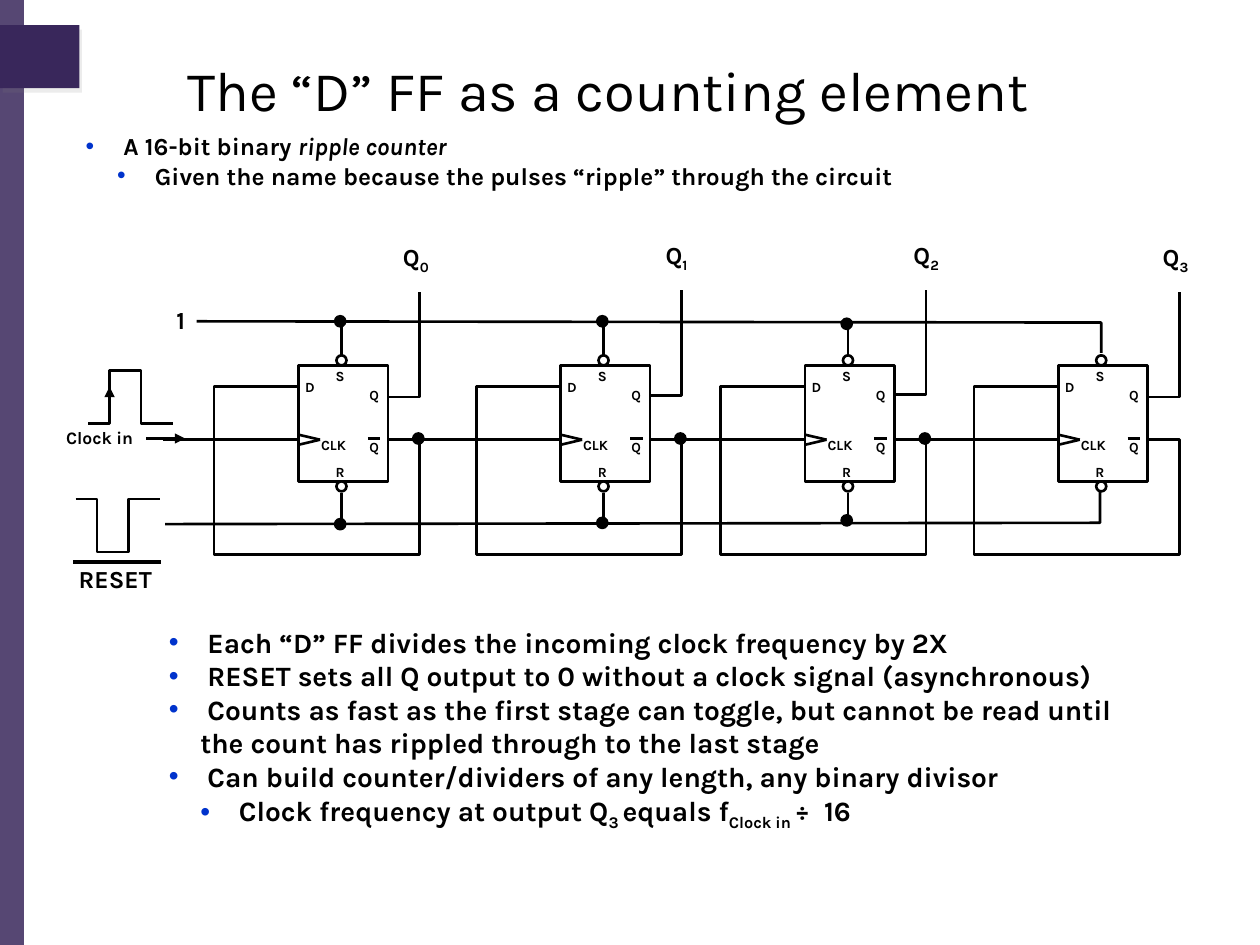
from lxml import etree
from pptx import Presentation
from pptx.dml.color import RGBColor
from pptx.enum.shapes import MSO_CONNECTOR, MSO_SHAPE
from pptx.enum.text import MSO_ANCHOR, MSO_AUTO_SIZE, PP_ALIGN
from pptx.oxml.ns import qn
from pptx.util import Inches, Pt

RECT, OVAL = MSO_SHAPE.RECTANGLE, MSO_SHAPE.OVAL
WIRE = MSO_CONNECTOR.STRAIGHT
MID = MSO_ANCHOR.MIDDLE
LEFT, CENTER = PP_ALIGN.LEFT, PP_ALIGN.CENTER
FIT, FIXED = MSO_AUTO_SIZE.SHAPE_TO_FIT_TEXT, MSO_AUTO_SIZE.NONE
BLACK, WHITE, BLUE, PLUM = "000000", "FFFFFF", "0033CC", "39275B"


def color(code):
    return RGBColor.from_string(code)


def node(base, tag, **attrs):
    return etree.SubElement(base, qn(tag), attrs)


def write(para, text, size=14, bold=True, italic=False, sub=False):
    run = para.add_run()
    run.text = text
    font = run.font
    font.name, font.size = "Karla", Pt(size)
    font.bold, font.italic = bold, italic
    font.color.rgb = color(BLACK)
    if sub:
        run._r.get_or_add_rPr().set("baseline", "-25000")


class Pen:
    def __init__(self, slide):
        self.slide = slide
        self.shapes = slide.shapes
        self.weight = 1.5

    def group(self):
        self.shapes = self.slide.shapes.add_group_shape().shapes

    def leave(self):
        self.shapes = self.slide.shapes

    def stroke(self, item, weight=None):
        item.line.color.rgb = color(BLACK)
        item.line.width = Pt(weight or self.weight)

    def shape(self, kind, x, y, w, h, fill, edge=True):
        item = self.shapes.add_shape(kind, Inches(x), Inches(y), Inches(w), Inches(h))
        item.shadow.inherit = False
        item.fill.solid()
        item.fill.fore_color.rgb = color(fill)
        if edge:
            self.stroke(item)
        else:
            item.line.fill.background()
        return item

    def dot(self, x, y, fill=BLACK):
        self.shape(OVAL, x - 0.04, y - 0.04, 0.08, 0.08, fill)

    def line(self, x1, y1, x2, y2, arrow=False, weight=None):
        item = self.shapes.add_connector(WIRE, Inches(x1), Inches(y1), Inches(x2), Inches(y2))
        self.stroke(item, weight)
        if arrow:
            node(item.line._get_or_add_ln(), "a:tailEnd", type="triangle")
        node(item._element.spPr, "a:effectLst")

    def trace(self, *points):
        spots = [(Inches(x), Inches(y)) for x, y in points]
        draft = self.shapes.build_freeform(*spots[0], scale=1.0)
        draft.add_line_segments(spots[1:], close=False)
        item = draft.convert_to_shape()
        item.shadow.inherit = False
        item.fill.background()
        self.stroke(item)

    def label(self, text, x, y, w, h, size=14, sub="", align=CENTER):
        box = self.shapes.add_textbox(Inches(x), Inches(y), Inches(w), Inches(h))
        frame = box.text_frame
        frame.word_wrap = False
        frame.auto_size = FIT
        frame.vertical_anchor = MID
        para = frame.paragraphs[0]
        para.alignment = align
        write(para, text, size=size)
        if sub:
            write(para, sub, size=size, sub=True)

    def place(self, item, x, y, w, h):
        item.left, item.top = Inches(x), Inches(y)
        item.width, item.height = Inches(w), Inches(h)
        frame = item.text_frame
        frame.word_wrap = True
        frame.auto_size = FIXED
        frame.vertical_anchor = MID
        return frame

    def title(self, text, *area):
        para = self.place(self.slide.shapes.title, *area).paragraphs[0]
        para.alignment = CENTER
        write(para, text, size=32, bold=False)

    def bullets(self, item, area, size, rows):
        frame = self.place(item, *area)
        for i, (level, *runs) in enumerate(rows):
            para = frame.add_paragraph() if i else frame.paragraphs[0]
            para.level = level
            para.alignment = LEFT
            para.space_before = Pt(0)
            prop = para._p.get_or_add_pPr()
            prop.set("marL", str(Inches(0.25 * (level + 1))))
            prop.set("indent", str(Inches(-0.25)))
            node(node(prop, "a:buClr"), "a:srgbClr", val=BLUE)
            node(prop, "a:buFont", typeface="Arial")
            node(prop, "a:buChar", char="•")
            for text, style in runs:
                write(para, text, size=size, **style)

    def stage(self, x, top, turn, name, index):
        self.group()
        end = x + 0.96
        self.trace((x + 0.71, 3.49), (end, 3.49), (end, 4.4),
                   (x - 0.67, 4.4), (x - 0.67, 3.07), (x - 0.24, 3.07))
        self.shape(RECT, x, 2.9, 0.71, 0.92, WHITE)
        for y in (3.07, 3.49):
            self.line(x, y, x - 0.25, y)
        for y in (3.45, 3.53):
            self.line(x, y, x + 0.17, 3.49)
        for y in (2.86, 3.86):
            self.dot(x + 0.34, y, WHITE)
        for text, dx, y in (("S", 0.19, 2.87), ("R", 0.19, 3.63), ("D", -0.05, 2.96),
                            ("Q", 0.46, 3.02), ("Q", 0.46, 3.43)):
            self.label(text, x + dx, y, 0.28, 0.23, size=8)
        self.label("CLK", x + 0.08, 3.42, 0.43, 0.23, size=8, align=LEFT)
        self.line(x + 0.55, 3.48, x + 0.65, 3.48)
        self.trace((x + 0.71, turn), (end, turn), (end, top))
        self.label("Q", name, top - 0.43, 0.42, 0.33, sub=index)
        self.leave()


def main():
    deck = Presentation()
    deck.slide_width, deck.slide_height = Inches(10), Inches(7.5)
    slide = deck.slides.add_slide(deck.slide_layouts[3])
    pen = Pen(slide)

    strip = pen.shape(RECT, 0, 0, 0.19, 7.5, PLUM, edge=False)
    node(strip._element.spPr.find(qn("a:solidFill"))[0], "a:alpha", val="85000")
    tab = pen.shape(RECT, 0, 0.2, 0.63, 0.5, PLUM, edge=False)
    shade = node(tab._element.spPr.find(qn("a:effectLst")), "a:outerShdw",
                 blurRad="0", dist=str(Pt(3)), dir="3600000", rotWithShape="0")
    node(node(shade, "a:srgbClr", val="808080"), "a:alpha", val="15000")

    pen.title("The “D” FF as a counting element", 0.33, 0.25, 9, 0.92)
    plain, sub = {}, {"sub": True}
    pen.bullets(slide.placeholders[1], (0.58, 0.99, 9.01, 0.57), 14, [
        (0, (" A 16-bit binary ", plain), ("ripple counter", {"italic": True})),
        (1, (" Given the name because the pulses “ripple” through the circuit", plain)),
    ])
    pen.bullets(slide.placeholders[2], (1.24, 4.93, 7.97, 1.7), 16, [
        (0, (" Each “D” FF divides the incoming clock frequency by 2X", plain)),
        (0, (" RESET sets all Q output to 0 without a clock signal (asynchronous)", plain)),
        (0, (" Counts as fast as the first stage can toggle, but cannot be read until "
             "the count has rippled through to the last stage", plain)),
        (0, (" Can build counter/dividers of any length, any binary divisor", plain)),
        (1, (" Clock frequency at output Q", plain), ("3 ", sub), ("equals f", plain),
         ("Clock in ", sub), ("÷  16", plain)),
    ])

    pen.trace((8.74, 2.8), (8.74, 2.56), (1.56, 2.55))
    pen.trace((8.73, 3.9), (8.73, 4.15), (1.31, 4.16))
    stages = [(2.37, 2.32, 3.15, 3.09), (4.45, 2.3, 3.14, 5.16),
              (6.39, 2.3, 3.13, 7.14), (8.4, 2.32, 3.15, 9.12)]
    start = 1.29
    for i, (x, top, turn, name) in enumerate(stages):
        pen.line(x - 0.2, 3.49, start, 3.49)
        pen.stage(x, top, turn, name, str(i))
        start = x + 0.95
    for (x, *_), high, low in zip(stages[:3], (2.55, 2.55, 2.57), (4.16, 4.15, 4.13)):
        mid = x + 0.34
        pen.line(mid, 2.82, mid, 2.56)
        pen.line(mid, 3.91, mid, 4.16)
        pen.dot(mid - 0.01, high)
        pen.dot(mid - 0.01, low)
        pen.dot(x + 0.95, 3.48)

    for x, base, peak in ((0.7, 3.36, 2.94), (0.6, 3.96, 4.38)):
        pen.trace((x, base), (x + 0.17, base), (x + 0.17, peak),
                  (x + 0.42, peak), (x + 0.42, base), (x + 0.67, base))
    pen.line(0.87, 3.32, 0.87, 3.07, arrow=True)
    pen.line(1.16, 3.48, 1.47, 3.48, arrow=True)
    pen.line(0.58, 4.46, 1.28, 4.46, weight=2.25)
    pen.label("Clock in", 0.42, 3.34, 0.74, 0.27, size=10)
    pen.label("1", 1.28, 2.37, 0.31, 0.33)
    pen.label("RESET", 0.49, 4.43, 0.85, 0.33)
    deck.save("out.pptx")


if __name__ == "__main__":
    main()
